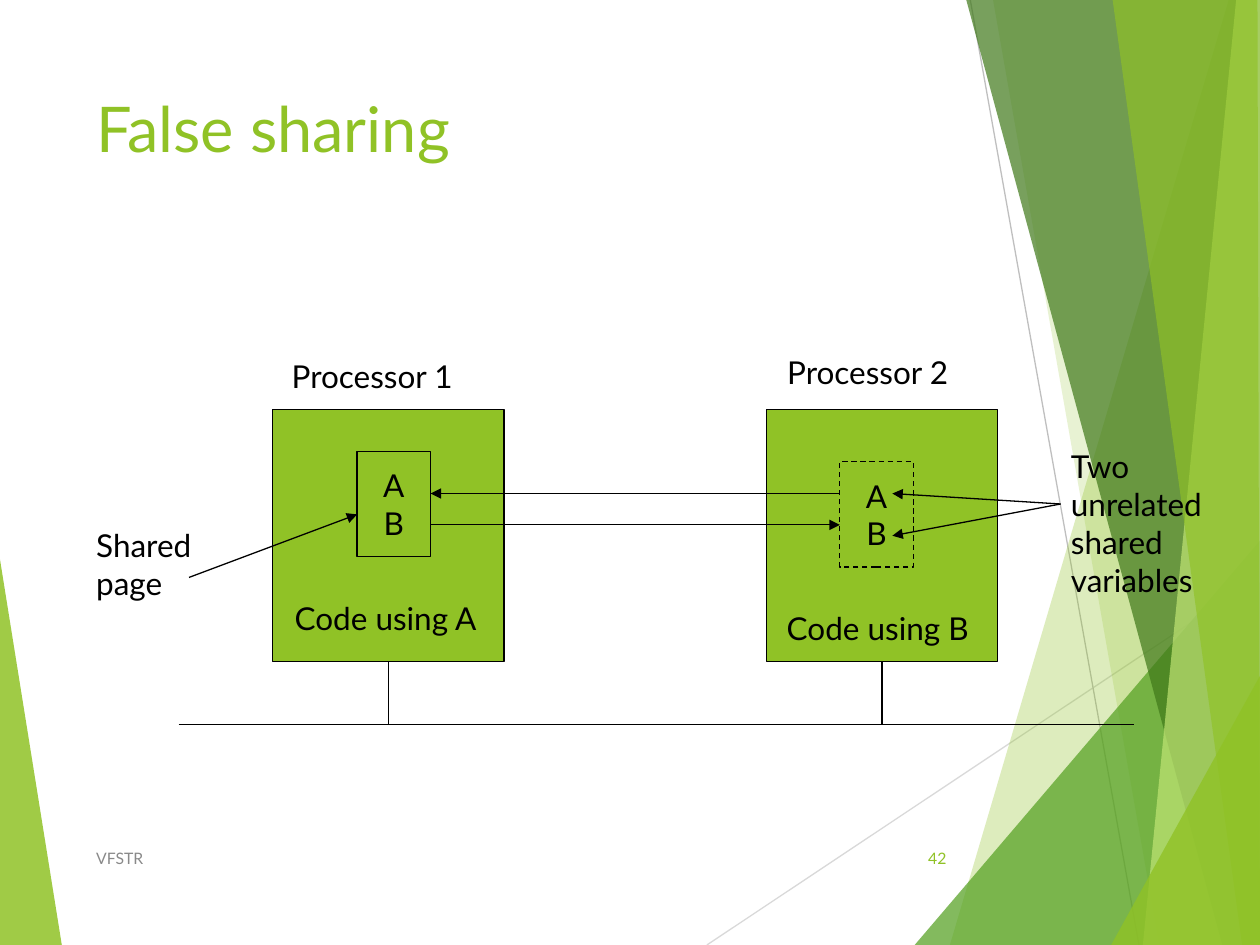
from dataclasses import dataclass

import lxml.etree
import pptx
import pptx.dml.color
import pptx.enum.dml
import pptx.enum.shapes
import pptx.enum.text
import pptx.oxml.ns
import pptx.util

Cm = pptx.util.Cm
RGB = pptx.dml.color.RGBColor
Align = pptx.enum.text.PP_ALIGN
Anchor = pptx.enum.text.MSO_ANCHOR
qn = pptx.oxml.ns.qn

LIME = RGB(0x90, 0xC2, 0x26)
GREEN = RGB(0x54, 0xA0, 0x21)
FOREST = RGB(0x3F, 0x78, 0x19)
PALE = RGB(0xC0, 0xE4, 0x74)
BLACK = RGB(0, 0, 0)
GREY = RGB(0x89, 0x89, 0x89)
SILVER = RGB(0xBF, 0xBF, 0xBF)
MIST = RGB(0xD9, 0xD9, 0xD9)
FONT = "Lato"
WIDE, HIGH = 25.4, 19.05


@dataclass
class Facet:
    points: list[tuple[float, float]]
    color: RGB
    alpha: int


@dataclass
class Line:
    start: tuple[float, float]
    end: tuple[float, float]
    color: RGB = BLACK
    arrow: bool = False


@dataclass
class Label:
    lines: list[str]
    left: float
    top: float
    width: float
    height: float
    size: int = 18
    color: RGB = BLACK
    align: Align = Align.LEFT
    anchor: Anchor = Anchor.TOP


@dataclass
class Box:
    left: float
    top: float
    width: float
    height: float
    lines: tuple[str, ...] = ()
    dashed: bool = False


RAYS = [
    Line((14.25, HIGH), (25.42, 11.61), MIST),
    Line((19.56, 0), (22.96, HIGH), SILVER),
]
FACETS = [
    Facet([(-0.02, 11.15), (1.25, 19.07), (-0.02, HIGH)], LIME, 85),
    Facet([(24.77, 0), (19.15, HIGH), (25.45, HIGH), (25.43, 0)], LIME, 30),
    Facet([(20.02, 0), (23.37, HIGH), (25.42, HIGH), (25.42, 0)], LIME, 20),
    Facet([(18.44, HIGH), (WIDE, 10.9), (25.42, HIGH)], GREEN, 72),
    Facet([(19.48, 0), (24.64, HIGH), (25.42, HIGH), (25.42, 0)], FOREST, 70),
    Facet([(24.92, 0), (23.04, HIGH), (25.42, HIGH), (WIDE, 0)], PALE, 70),
    Facet([(22.43, 0), (25.04, HIGH), (WIDE, HIGH), (25.35, 0)], LIME, 65),
    Facet([(22.4, HIGH), (25.42, 13.59), (25.42, HIGH)], LIME, 80),
]
BOXES = [
    Box(5.5, 8.25, 4.66, 5.08),
    Box(15.45, 8.25, 4.66, 5.08),
    Box(7.2, 9.1, 1.48, 2.12, ("A", "B")),
    Box(16.93, 9.31, 1.48, 2.12, ("A", "B"), True),
]
LABELS = [
    Label(["False sharing"], 1.69, 1.69, 17.63, 3.67, 36, LIME),
    Label(["Code using A"], 5.69, 11.95, 4.42, 1.02),
    Label(["Code using B"], 15.61, 12.16, 4.42, 1.02),
    Label(["Processor 1"], 5.63, 7.08, 3.98, 1.02),
    Label(["Processor 2"], 15.62, 6.99, 3.98, 1.02),
    Label(["Shared", "page"], 1.69, 10.48, 2.77, 1.78),
    Label(["Two", "unrelated", "shared", "variables"], 21.34, 8.89, 3.4, 3.3),
    Label(["VFSTR"], 1.69, 16.79, 12.85, 1.02, 9, GREY, anchor=Anchor.MIDDLE),
    Label(["42"], 17.91, 16.79, 1.42, 1.02, 9, LIME, Align.RIGHT, Anchor.MIDDLE),
]
HUB = (21.38, 10.16)
LINES = [
    Line((7.83, 13.33), (7.83, 14.6)),
    Line((17.78, 13.33), (17.78, 14.6)),
    Line((3.6, 14.6), (22.86, 14.6)),
    Line((3.81, 11.64), (7.2, 10.37), arrow=True),
    Line((8.68, 10.58), (16.93, 10.58), arrow=True),
    Line(HUB, (17.99, 9.95), arrow=True),
    Line(HUB, (17.99, 10.8), arrow=True),
    Line((16.93, 9.95), (8.68, 9.95), arrow=True),
]


def write(frame, lines, size: int, color: RGB, align: Align, anchor: Anchor) -> None:
    frame.word_wrap = True
    frame.vertical_anchor = anchor
    for i, text in enumerate(lines):
        para = frame.add_paragraph() if i else frame.paragraphs[0]
        para.alignment = align
        run = para.add_run()
        run.text = text
        run.font.name = FONT
        run.font.size = pptx.util.Pt(size)
        run.font.color.rgb = color


def draw_facet(slide, facet: Facet) -> None:
    spots = [(Cm(x), Cm(y)) for x, y in facet.points]
    pen = slide.shapes.build_freeform(*spots[0])
    pen.add_line_segments(spots[1:], close=True)
    shape = pen.convert_to_shape()
    shape.shadow.inherit = False
    shape.line.fill.background()
    shape.fill.solid()
    shape.fill.fore_color.rgb = facet.color
    tint = shape.fill._xPr.find(f".//{qn('a:srgbClr')}")
    lxml.etree.SubElement(tint, qn("a:alpha"), val=str(facet.alpha * 1000))


def draw_line(slide, line: Line) -> None:
    ends = [Cm(v) for v in (*line.start, *line.end)]
    kind = pptx.enum.shapes.MSO_CONNECTOR.STRAIGHT
    link = slide.shapes.add_connector(kind, *ends)
    link.line.color.rgb = line.color
    link.line.width = pptx.util.Pt(0.75)
    if line.arrow:
        edge = link.line._get_or_add_ln()
        lxml.etree.SubElement(edge, qn("a:tailEnd"), type="triangle")
    lxml.etree.SubElement(link._element.spPr, qn("a:effectLst"))


def draw_box(slide, box: Box) -> None:
    area = [Cm(v) for v in (box.left, box.top, box.width, box.height)]
    kind = pptx.enum.shapes.MSO_SHAPE.RECTANGLE
    shape = slide.shapes.add_shape(kind, *area)
    shape.shadow.inherit = False
    shape.fill.solid()
    shape.fill.fore_color.rgb = LIME
    shape.line.color.rgb = BLACK
    shape.line.width = pptx.util.Pt(0.75)
    if box.dashed:
        shape.line.dash_style = pptx.enum.dml.MSO_LINE.DASH
    write(shape.text_frame, box.lines, 18, BLACK, Align.CENTER, Anchor.MIDDLE)


def draw_label(slide, label: Label) -> None:
    area = [Cm(v) for v in (label.left, label.top, label.width, label.height)]
    frame = slide.shapes.add_textbox(*area).text_frame
    write(frame, label.lines, label.size, label.color, label.align, label.anchor)


def main() -> None:
    deck = pptx.Presentation()
    deck.slide_width, deck.slide_height = Cm(WIDE), Cm(HIGH)
    slide = deck.slides.add_slide(deck.slide_layouts[6])
    for ray in RAYS:
        draw_line(slide, ray)
    for facet in FACETS:
        draw_facet(slide, facet)
    for box in BOXES:
        draw_box(slide, box)
    for label in LABELS:
        draw_label(slide, label)
    for line in LINES:
        draw_line(slide, line)
    deck.save("out.pptx")


if __name__ == "__main__":
    main()
